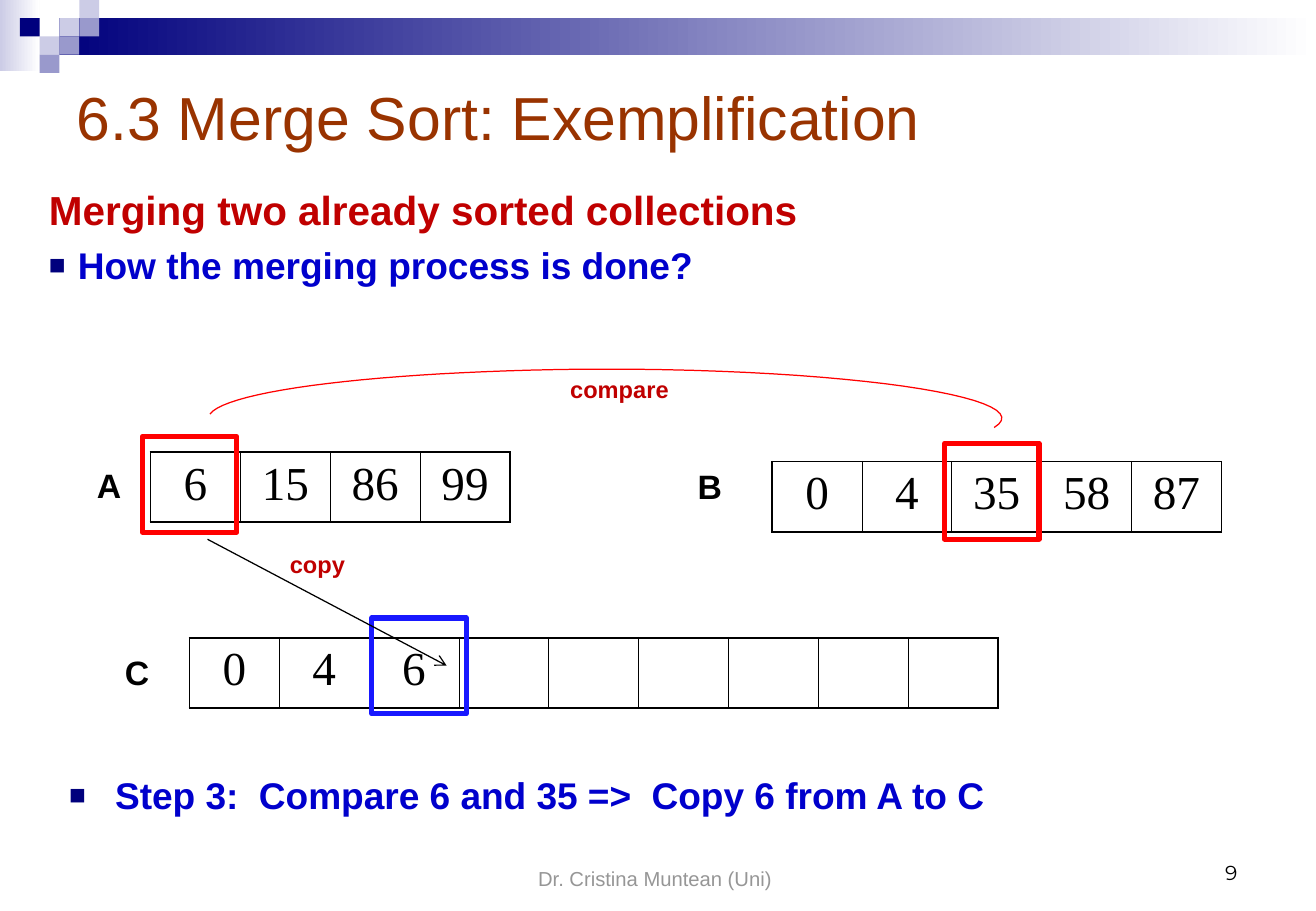
from collections import namedtuple
from lxml.etree import SubElement
from pptx import Presentation
from pptx.dml.color import RGBColor
from pptx.enum.shapes import MSO_CONNECTOR, MSO_SHAPE
from pptx.enum.text import MSO_ANCHOR, PP_ALIGN
from pptx.oxml import parse_xml
from pptx.oxml.ns import nsdecls, qn
from pptx.util import Inches, Pt

HUES = {"navy": "00007D", "mid": "9999CC", "light": "CCCCE6", "white": "FFFFFF",
        "black": "000000", "gray": "969696", "brown": "993300", "wine": "C00000",
        "blue": "0000CC", "red": "FF0000", "frame": "1818FF"}
Box = namedtuple("Box", "x y w h")


def hue(name):
    return RGBColor.from_string(HUES[name])


def share(box, x, y, w, h):
    """Cut a part out of a box, in percent of its size."""
    return Box(*(round(v) for v in (box.x + box.w * x / 100, box.y + box.h * y / 100,
                                    box.w * w / 100, box.h * h / 100)))


# Text
def style(para, size, color, bold=False, face="Arial", align=PP_ALIGN.LEFT, before=0):
    para.alignment = align
    para.space_before = Pt(before)
    font = para.font
    font.size, font.bold, font.name = Pt(size), bold, face
    font.color.rgb = hue(color)


def bullet(para, indent):
    props = para._p.get_or_add_pPr()
    props.set("marL", str(Inches(indent)))
    props.set("indent", str(-Inches(indent)))
    SubElement(SubElement(props, qn("a:buClr")), qn("a:srgbClr"), val=HUES["navy"])
    SubElement(props, qn("a:buSzPct"), val="75000")
    SubElement(props, qn("a:buFont"), typeface="Arial")
    SubElement(props, qn("a:buChar"), char="■")


def write(slide, box, text, size, color, anchor=MSO_ANCHOR.TOP, indent=0, **look):
    frame = slide.shapes.add_textbox(*box).text_frame
    frame.word_wrap = True
    frame.vertical_anchor = anchor
    para = frame.paragraphs[0]
    para.text = text
    if indent:
        bullet(para, indent)
    style(para, size, color, **look)
    return frame


# Shapes
def block(slide, box, fill=None, fade=False, line=None):
    shape = slide.shapes.add_shape(MSO_SHAPE.RECTANGLE, *box)
    shape.shadow.inherit = False
    if fade:
        shape.fill.gradient()
        shape.fill.gradient_angle = 0
        for stop, name, place in zip(shape.fill.gradient_stops, (fill, "white"), (0, 1)):
            stop.color.rgb, stop.position = hue(name), place
    elif fill:
        shape.fill.solid()
        shape.fill.fore_color.rgb = hue(fill)
    else:
        shape.fill.background()
    if line:
        shape.line.color.rgb, shape.line.width = hue(line), Pt(3)
    else:
        shape.line.fill.background()


# Top band: squares on a grid of 66.4 columns and 4 rows
def band(slide, box):
    def cell(col, row, wide=1, high=1):
        return share(box, col * 100 / 66.4, row * 25, wide * 100 / 66.4, high * 25)

    block(slide, cell(0, 0, 2, 3.9), "light", fade=True)
    block(slide, cell(3, 1, 63.4, 2), "navy", fade=True)
    for col, row, fill in ((3, 1, "light"), (4, 0, "light"), (4, 1, "mid"), (2, 2, "light"),
                           (1, 1, "navy"), (3, 2, "mid"), (2, 3, "mid")):
        block(slide, cell(col, row), fill)


# Title and opening lines
def heading(slide, box):
    write(slide, share(box, 2.2, 0, 93, 32), "6.3 Merge Sort: Exemplification",
          36, "brown", MSO_ANCHOR.MIDDLE)
    frame = write(slide, share(box, 0, 39.4, 100, 60.6),
                  "Merging two already sorted collections", 24, "wine", bold=True, before=6)
    para = frame.add_paragraph()
    para.text = "How the merging process is done?"
    bullet(para, 0.24)
    style(para, 22, "blue", bold=True, before=5.5)


def edge(cell, first, last):
    props = cell._tc.get_or_add_tcPr()
    widths = {"L": 1.08 if first else 0.45, "R": 1.08 if last else 0.45, "T": 1.08, "B": 1.08}
    for spot, (side, width) in enumerate(widths.items()):
        props.insert(spot, parse_xml(
            f'<a:ln{side} {nsdecls("a")} w="{Pt(width)}"><a:solidFill>'
            f'<a:srgbClr val="{HUES["black"]}"/></a:solidFill></a:ln{side}>'))


# One array: its table, its letter and a frame on the picked cell.
# Box is the first cell; letter and frame offsets are in cells.
def array(slide, box, name, items, pick, label, shift, color):
    size = len(items)
    table = slide.shapes.add_table(1, size, box.x, box.y, box.w * size, box.h).table
    table.first_row = table.horz_banding = False
    table.rows[0].height = box.h
    for col, item in enumerate(items):
        table.columns[col].width = box.w
        cell = table.cell(0, col)
        cell.fill.background()
        edge(cell, col == 0, col == size - 1)
        para = cell.text_frame.paragraphs[0]
        para.text = item
        style(para, 28, "black", face="Times New Roman", align=PP_ALIGN.CENTER, before=7)
    write(slide, share(box, *label, 62, 76), name, 20, "black", bold=True)
    left, top = shift
    block(slide, share(box, pick * 100 + left, top, 105, 136), line=color)


def curve(ends, steps=24):
    for step in range(steps + 1):
        t = step / steps
        parts = ((1 - t) ** 3, 3 * t * (1 - t) ** 2, 3 * t * t * (1 - t), t ** 3)
        yield tuple(sum(p * end[axis] for p, end in zip(parts, ends)) for axis in (0, 1))


# Arc between the compared cells
def compare(slide, box):
    rise = ((0, 77), (2.3, 35.4), (22.1, 4.2), (46.9, 0))
    fall = ((54.2, 0), (84.4, 4.2), (105.9, 52.1), (100, 100))
    dots = [share(box, x, y, 0, 0)[:2] for x, y in (*curve(rise), *curve(fall))]
    path = slide.shapes.build_freeform(*dots[0])
    path.add_line_segments(dots[1:], close=False)
    arc = path.convert_to_shape()
    arc.shadow.inherit = False
    arc.fill.background()
    arc.line.color.rgb, arc.line.width = hue("red"), Pt(0.74)
    write(slide, share(box, 44.4, 0, 23.7, 71), "compare", 14, "wine", bold=True)


# Arrow from the source cell to its target
def move(slide, box):
    arrow = slide.shapes.add_connector(MSO_CONNECTOR.STRAIGHT, box.x, box.y,
                                       box.x + box.w, box.y + box.h)
    arrow.line.color.rgb, arrow.line.width = hue("black"), Pt(0.74)
    SubElement(arrow.line._get_or_add_ln(), qn("a:tailEnd"), type="arrow")
    SubElement(arrow._element.spPr, qn("a:effectLst"))
    write(slide, share(box, 29.4, 3.8, 38.6, 32.7), "copy", 14, "wine", bold=True)


# Credit and page number
def footer(slide, box):
    write(slide, share(box, 0, 9, 51.9, 91), "Dr. Cristina Muntean (Uni)", 12, "gray",
          MSO_ANCHOR.BOTTOM, align=PP_ALIGN.CENTER)
    write(slide, share(box, 61.7, 0, 38.3, 91), "9", 12, "black",
          MSO_ANCHOR.BOTTOM, face="Montserrat", align=PP_ALIGN.RIGHT)


deck = Presentation()
deck.slide_width, deck.slide_height = Inches(10.84), Inches(7.5)
slide = deck.slides.add_slide(deck.slide_layouts[6])
page = Box(0, 0, deck.slide_width, deck.slide_height)

band(slide, share(page, 0, 0, 100, 8))
footer(slide, share(page, 33.95, 91.07, 60.98, 7.33))
for left, top, *rest in (
        (11.44, 49.6, "A", ["6", "15", "86", "99"], 0, (-73, 10), (-9, -22), "red"),
        (58.67, 50.67, "B", ["0", "4", "35", "58", "87"], 2, (-96, -3), (-8, -26), "red"),
        (14.39, 70, "C", ["0", "4", "6"] + [""] * 6, 2, (-85, 12), (3, -28), "frame")):
    array(slide, share(page, left, top, 6.83, 7.73), *rest)
write(slide, share(page, 4.34, 84.13, 95.1, 7.87),
      "Step 3:  Compare 6 and 35 =>  Copy 6 from A to C", 22, "blue",
      indent=0.38, bold=True, before=5.5)
heading(slide, share(page, 2.8, 8, 96.7, 29.5))
move(slide, share(page, 15.77, 59.2, 18.17, 13.87))
compare(slide, share(page, 15.96, 40.53, 59.59, 6.4))
deck.save("out.pptx")
